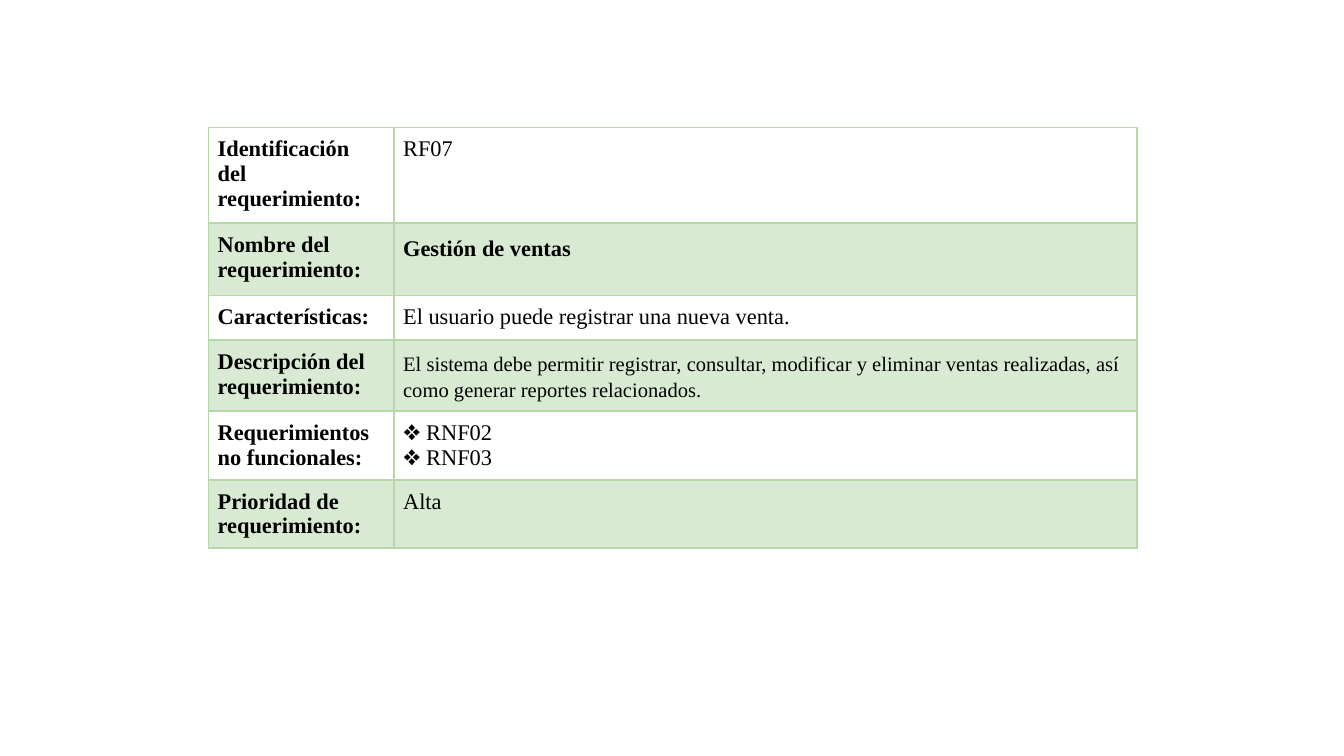
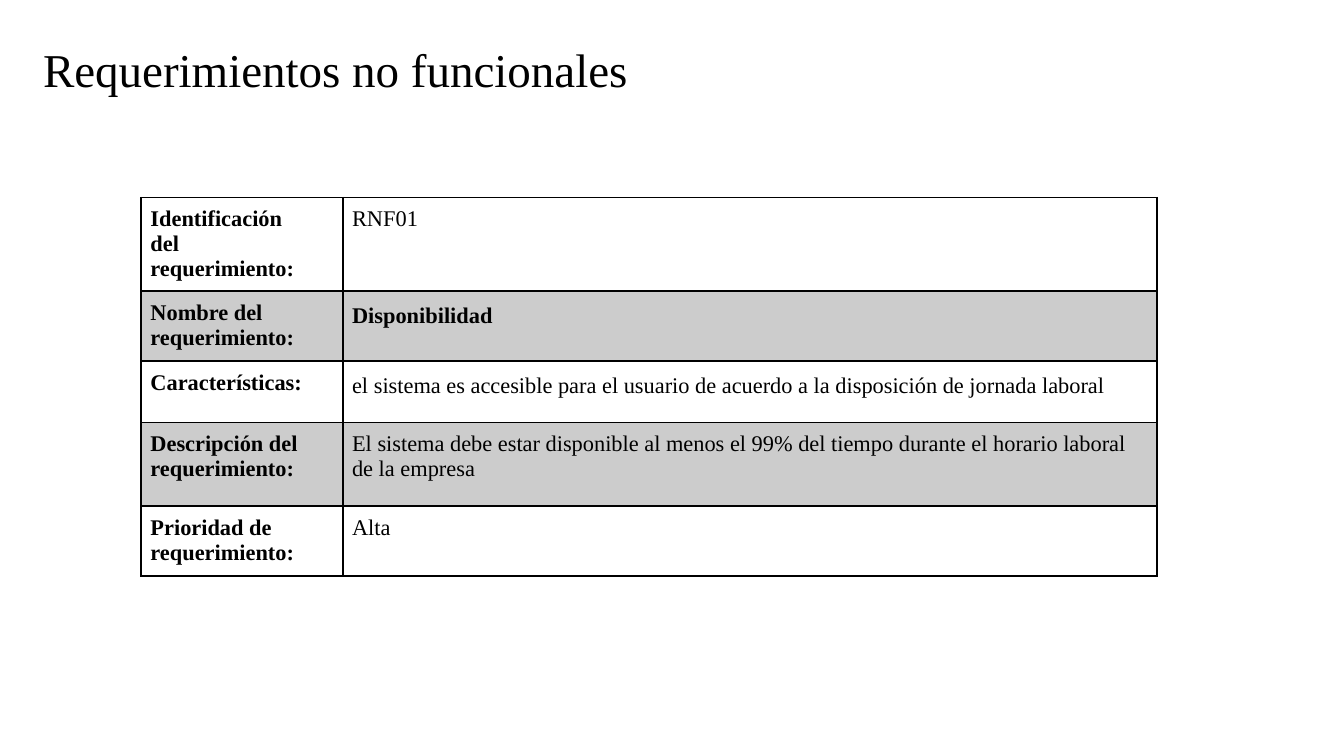
from lxml import etree
from pptx import Presentation
from pptx.dml.color import RGBColor
from pptx.enum.text import MSO_ANCHOR, PP_ALIGN
from pptx.oxml.ns import qn
from pptx.util import Inches, Pt

LEFT, MIDDLE = PP_ALIGN.LEFT, MSO_ANCHOR.MIDDLE
TITLE_ONLY, BLANK = 5, 6
FONT = "Times New Roman"
BLACK = "000000"

IDENTIFICATION = "Identificación\ndel\nrequerimiento:"
NAME = "Nombre del\nrequerimiento:"
FEATURES = "Características:"
DESCRIPTION = "Descripción del\nrequerimiento:"
NON_FUNCTIONAL = "Requerimientos\nno funcionales:"
PRIORITY = "Prioridad de\nrequerimiento:"

# Each row: height, label, value, format of the value
requirements = [
    {
        "layout": BLANK, "title": None,
        "at": (1.55, 0.95), "columns": (1.38, 5.53),
        "border": "B6D7A8", "band": "D9EAD3",
        "rows": [
            (0.71, IDENTIFICATION, "RF07", {}),
            (0.54, NAME, "Gestión de ventas", {"bold": True, "spacing": 1.15}),
            (0.33, FEATURES, "El usuario puede registrar una nueva venta.", {}),
            (0.51, DESCRIPTION,
             "El sistema debe permitir registrar, consultar, modificar y eliminar "
             "ventas realizadas, así como generar reportes relacionados.",
             {"size": 11, "spacing": 1.15}),
            (0.51, NON_FUNCTIONAL, "❖ RNF02\n❖ RNF03", {}),
            (0.51, PRIORITY, "Alta", {}),
        ],
    },
    {
        "layout": TITLE_ONLY, "title": "Requerimientos no funcionales",
        "at": (1.05, 1.47), "columns": (1.5, 6.06),
        "border": BLACK, "band": "CCCCCC",
        "rows": [
            (0.63, IDENTIFICATION, "RNF01", {}),
            (0.52, NAME, "Disponibilidad", {"bold": True, "spacing": 1.15}),
            (0.46, FEATURES,
             "el sistema es accesible para el usuario de acuerdo a la disposición "
             "de jornada laboral", {"spacing": 1.15}),
            (0.62, DESCRIPTION,
             "El sistema debe estar disponible al menos el 99% del tiempo durante "
             "el horario laboral de la empresa", {}),
            (0.52, PRIORITY, "Alta", {}),
        ],
    },
]


def write(frame, holder, text, size=12, bold=False, color=BLACK, spacing=1.0, inset=0.07):
    """Write one paragraph per line of text; the holder carries the margins."""
    holder.margin_left = holder.margin_right = Inches(inset)
    holder.margin_top = holder.margin_bottom = Inches(inset)
    holder.vertical_anchor = MIDDLE if holder is frame else None
    frame.text = text
    for paragraph in frame.paragraphs:
        paragraph.alignment = LEFT
        paragraph.line_spacing = spacing
        font = paragraph.runs[0].font
        font.name, font.size, font.bold = FONT, Pt(size), bold
        font.color.rgb = RGBColor.from_string(color)


def add_borders(cell, color):
    properties = cell._tc.get_or_add_tcPr()
    for position, side in enumerate(("lnL", "lnR", "lnT", "lnB")):
        line = etree.Element(qn(f"a:{side}"), w=str(Pt(1)))
        fill = etree.SubElement(line, qn("a:solidFill"))
        etree.SubElement(fill, qn("a:srgbClr"), val=color)
        properties.insert(position, line)


prs = Presentation()
prs.slide_width, prs.slide_height = Inches(10), Inches(10 * 9 / 16)

for requirement in requirements:
    slide = prs.slides.add_slide(prs.slide_layouts[requirement["layout"]])
    if requirement["title"]:
        title = slide.shapes.title
        title.left, title.top = Inches(0.22), Inches(0.2)
        title.width, title.height = Inches(9.32), Inches(0.63)
        heading = title.text_frame
        write(heading, heading, requirement["title"], size=25.2, inset=0.1)

    rows, columns = requirement["rows"], requirement["columns"]
    left, top = requirement["at"]
    height = sum(row[0] for row in rows)
    table = slide.shapes.add_table(
        len(rows), len(columns), Inches(left), Inches(top),
        Inches(sum(columns)), Inches(height)).table
    table.first_row = table.horz_banding = False
    for column, width in zip(table.columns, columns):
        column.width = Inches(width)

    for index, (row_height, label, value, value_format) in enumerate(rows):
        table.rows[index].height = Inches(row_height)
        label_cell, value_cell = table.rows[index].cells
        write(label_cell.text_frame, label_cell, label, bold=True)
        write(value_cell.text_frame, value_cell, value, **value_format)
        for cell in (label_cell, value_cell):
            if index % 2:
                cell.fill.solid()
                cell.fill.fore_color.rgb = RGBColor.from_string(requirement["band"])
            else:
                cell.fill.background()
            add_borders(cell, requirement["border"])

prs.save("out.pptx")
